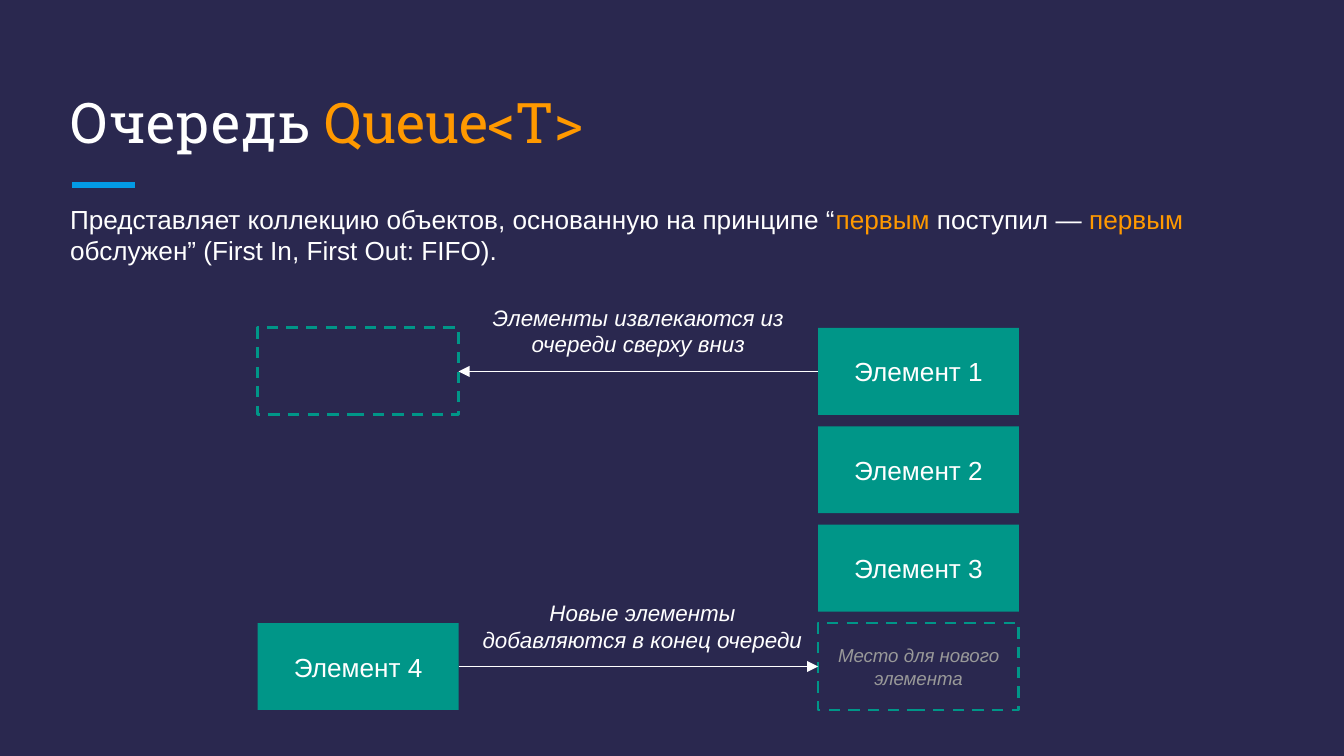
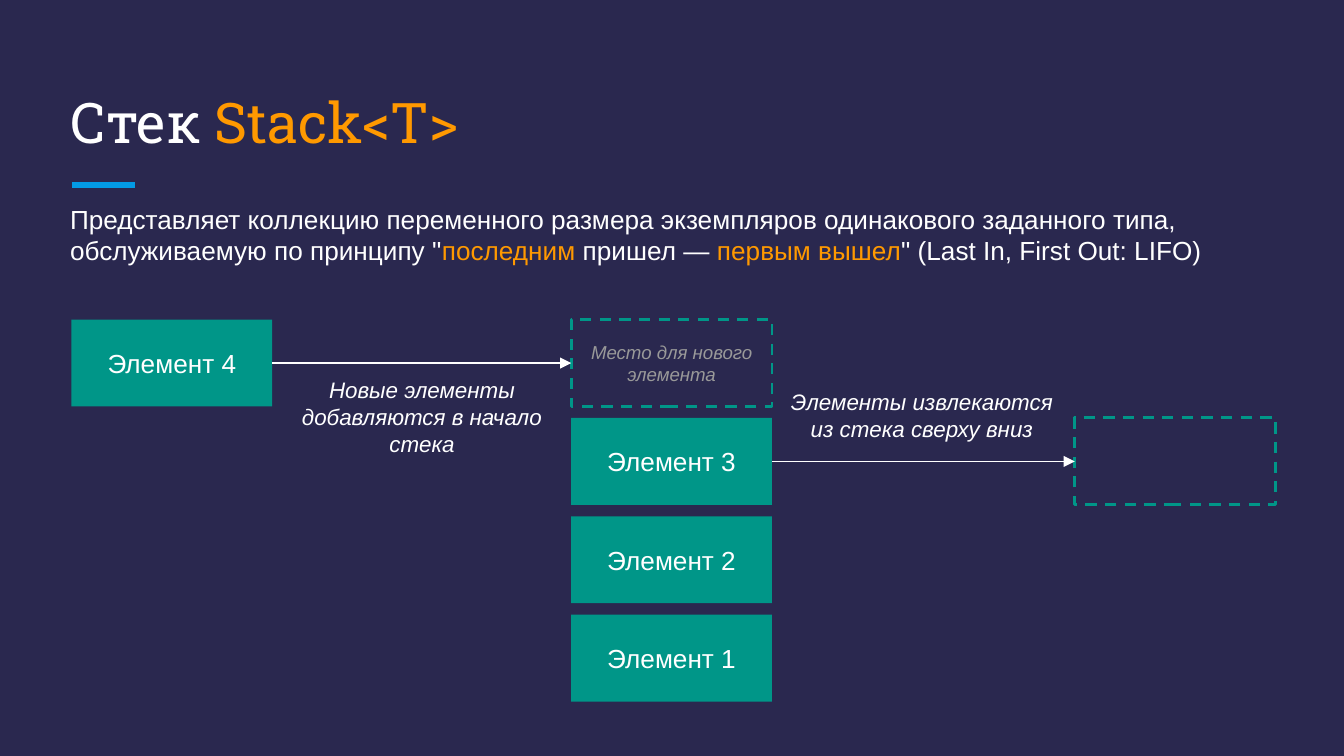
import pptx
import pptx.util
import pptx.dml.color
import pptx.enum.dml
import pptx.enum.shapes
import pptx.enum.text
import pptx.oxml
import pptx.oxml.ns

Pt = pptx.util.Pt
ALIGN = pptx.enum.text.PP_ALIGN
ANCHOR = pptx.enum.text.MSO_ANCHOR

NAVY, TEAL, BLUE = "2A284F", "009688", "039BE5"
WHITE, ORANGE, GREY = "FFFFFF", "FF9900", "999999"

BOX_WIDTH, BOX_HEIGHT, BOX_STEP = 107.6, 46.6, 52.7
MARGIN, TEXT_WIDTH, TEXT_HEIGHT = 30.3, 658.8, 54

FRAME = {
    "word_wrap": True,
    "auto_size": pptx.enum.text.MSO_AUTO_SIZE.NONE,
    "margin_left": Pt(7.2),
    "margin_top": Pt(7.2),
    "margin_right": Pt(7.2),
    "margin_bottom": Pt(7.2),
}
TITLE = {"name": "Roboto Slab", "size": Pt(30), "bold": False}
BODY = {"name": "Arial", "size": Pt(14)}
LABEL = {"name": "Arial", "size": Pt(12), "italic": True}
HINT = {"name": "Arial", "size": Pt(10), "italic": True}


def rgb(code):
    return pptx.dml.color.RGBColor.from_string(code)


def apply(target, values):
    for attribute, value in values.items():
        setattr(target, attribute, value)


def add_element(parent, tag, **attributes):
    child = pptx.oxml.parse_xml(f"<{tag} {pptx.oxml.ns.nsdecls('a')}/>")
    for attribute, value in attributes.items():
        child.set(attribute, value)
    parent.append(child)


class Deck:
    def __init__(self):
        self.presentation = pptx.Presentation()
        self.presentation.slide_width = Pt(720)
        self.presentation.slide_height = Pt(405)
        background = self.presentation.slide_master.background.fill
        background.solid()
        background.fore_color.rgb = rgb(NAVY)
        self.slide = None

    def new_slide(self, heading, description):
        layout = self.presentation.slide_layouts[1]
        self.slide = self.presentation.slides.add_slide(layout)
        self.line(38.7, 99.2, 72.2, 99.2, BLUE, 3)
        title, body = self.slide.placeholders
        self.place(title, MARGIN, 36)
        self.set_text(title, heading, TITLE, ALIGN.LEFT, ANCHOR.BOTTOM)
        self.place(body, MARGIN, 101.5)
        paragraph = self.set_text(body, description, BODY, ALIGN.LEFT, ANCHOR.TOP)
        apply(paragraph, {"space_before": Pt(0), "space_after": Pt(16)})
        properties = paragraph._p.get_or_add_pPr()
        properties.set("marL", "0")
        properties.set("indent", "0")
        add_element(properties, "a:buNone")

    def place(self, placeholder, left, top):
        apply(placeholder, {"left": Pt(left), "top": Pt(top),
                            "width": Pt(TEXT_WIDTH), "height": Pt(TEXT_HEIGHT)})

    def set_text(self, holder, parts, font, align, anchor, colors=(WHITE, ORANGE)):
        frame = holder.text_frame
        apply(frame, FRAME | {"vertical_anchor": anchor})
        paragraph = frame.paragraphs[0]
        paragraph.alignment = align
        for index, part in enumerate(parts):
            run = paragraph.add_run()
            run.text = part
            apply(run.font, font)
            run.font.color.rgb = rgb(colors[index % len(colors)])
        return paragraph

    def box(self, left, top):
        shape = self.slide.shapes.add_shape(
            pptx.enum.shapes.MSO_SHAPE.RECTANGLE,
            Pt(left), Pt(top), Pt(BOX_WIDTH), Pt(BOX_HEIGHT))
        shape.shadow.inherit = False
        return shape

    def element(self, number, left, top):
        shape = self.box(left, top)
        shape.fill.solid()
        shape.fill.fore_color.rgb = rgb(TEAL)
        shape.line.fill.background()
        self.set_text(shape, [f"Элемент {number}"], BODY, ALIGN.CENTER, ANCHOR.MIDDLE)
        return shape

    def vacancy(self, left, top, hint=None):
        shape = self.box(left, top)
        shape.fill.background()
        shape.line.color.rgb = rgb(TEAL)
        apply(shape.line, {"width": Pt(1.5),
                           "dash_style": pptx.enum.dml.MSO_LINE.DASH})
        if hint:
            self.set_text(shape, [hint], HINT, ALIGN.CENTER, ANCHOR.MIDDLE, (GREY,))
        return shape

    def line(self, x1, y1, x2, y2, color, width):
        connector = self.slide.shapes.add_connector(
            pptx.enum.shapes.MSO_CONNECTOR.STRAIGHT, Pt(x1), Pt(y1), Pt(x2), Pt(y2))
        connector.line.color.rgb = rgb(color)
        connector.line.width = Pt(width)
        add_element(connector._element.spPr, "a:effectLst")
        return connector

    def arrow(self, source, target):
        connector = self.line(0, 0, 0, 0, WHITE, 0.75)
        left_side, right_side = 1, 3
        forward = source.left < target.left
        connector.begin_connect(source, right_side if forward else left_side)
        connector.end_connect(target, left_side if forward else right_side)
        add_element(connector.line._get_or_add_ln(), "a:tailEnd", type="triangle")

    def label(self, text, left, top, width, height):
        caption = self.slide.shapes.add_textbox(
            Pt(left), Pt(top), Pt(width), Pt(height))
        self.set_text(caption, [text], LABEL, ALIGN.CENTER, ANCHOR.TOP)


NEW_PLACE = "Место для нового элемента"
deck = Deck()

deck.new_slide(
    ["Очередь ", "Queue<T>"],
    ["Представляет коллекцию объектов, основанную на принципе “", "первым",
     " поступил — ", "первым ", "обслужен” (First In, First Out: FIFO)."])
queue_left, outside_left, queue_top = 438.3, 138.1, 175.7
queue_end = queue_top + 3 * BOX_STEP
queued = [deck.element(number, queue_left, queue_top + row * BOX_STEP)
          for row, number in enumerate((1, 2, 3))]
incoming = deck.element(4, outside_left, queue_end)
free_place = deck.vacancy(queue_left, queue_end, NEW_PLACE)
extracted = deck.vacancy(outside_left, queue_top)
deck.arrow(queued[0], extracted)
deck.arrow(incoming, free_place)
deck.label("Элементы извлекаются из очереди сверху вниз", 248.4, 155.5, 187.2, 43.2)
deck.label("Новые элементы добавляются в конец очереди", 250.6, 313.9, 187.2, 43.2)

deck.new_slide(
    ["Стек ", "Stack<T>"],
    ["Представляет коллекцию переменного размера экземпляров одинакового "
     "заданного типа, обслуживаемую по принципу \"", "последним", " пришел — ",
     "первым вышел", "\" (Last In, First Out: LIFO)"])
stack_left, stack_top = 306, 171.2
stacked = [deck.element(number, stack_left, stack_top + row * BOX_STEP)
           for row, number in enumerate((3, 2, 1), start=1)]
incoming = deck.element(4, 38.3, stack_top)
free_place = deck.vacancy(stack_left, stack_top, NEW_PLACE)
extracted = deck.vacancy(575.8, stack_top + BOX_STEP)
deck.arrow(stacked[0], extracted)
deck.arrow(incoming, free_place)
deck.label("Элементы извлекаются из стека сверху вниз", 414, 200.9, 159.8, 46.8)
deck.label("Новые элементы добавляются в начало стека", 146.2, 194.4, 159.8, 58.3)

deck.presentation.save("out.pptx")
